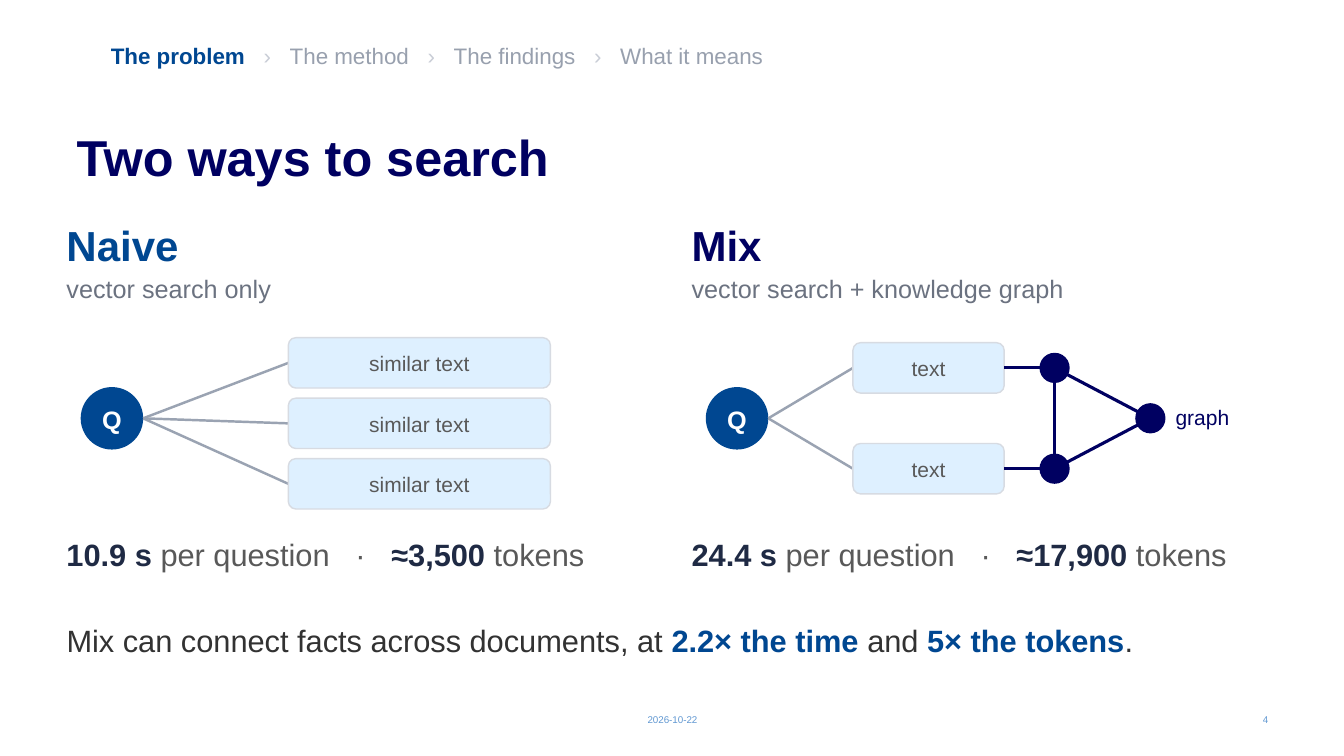
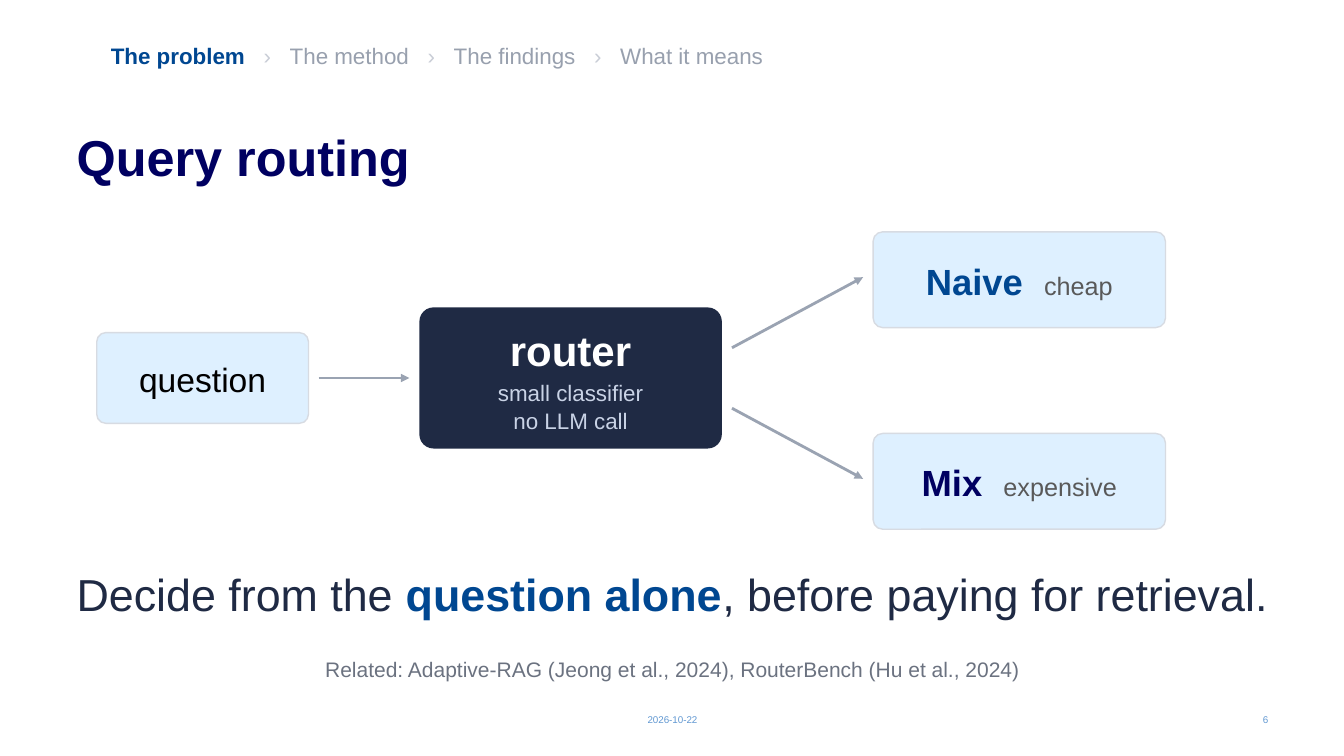
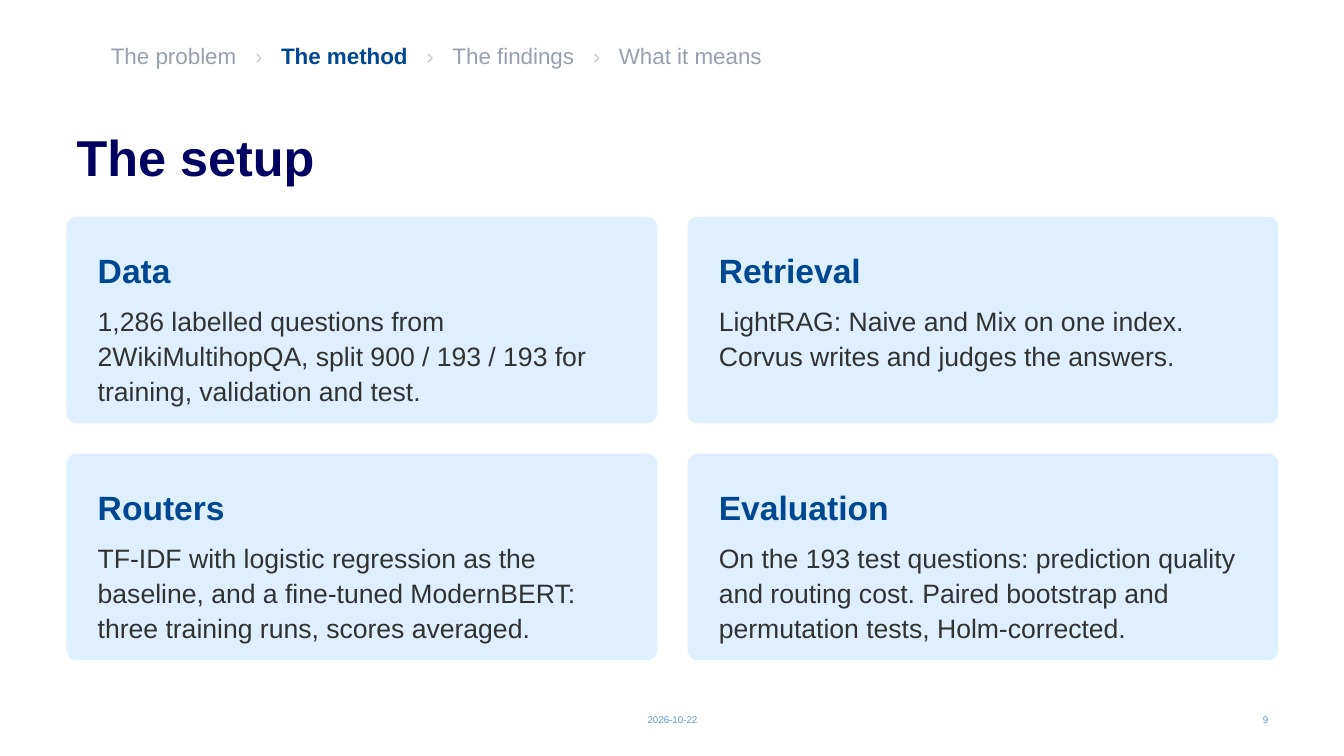
from dataclasses import dataclass

from lxml import etree
from pptx import Presentation
from pptx import util as u
from pptx.dml.color import RGBColor
from pptx.enum import shapes, text
from pptx.oxml import ns

MID, TOP = text.MSO_ANCHOR.MIDDLE, text.MSO_ANCHOR.TOP
LEFT, MID_X, RIGHT = text.PP_ALIGN.LEFT, text.PP_ALIGN.CENTER, text.PP_ALIGN.RIGHT
ROUND, OVAL = shapes.MSO_SHAPE.ROUNDED_RECTANGLE, shapes.MSO_SHAPE.OVAL
GAP = " "  # a run of its own, set three spaces wide


@dataclass(frozen=True)
class Theme:
    # colours
    navy: str = "000061"
    blue: str = "004791"
    dark: str = "1F2A44"
    body: str = "323232"
    grey: str = "595959"
    slate: str = "6B7280"
    wire: str = "9AA3B2"
    crumb: str = "98A0AE"
    mark: str = "C9CDD6"
    edge: str = "D7DBE2"
    pale: str = "DEF0FF"
    ice: str = "C9D3E6"
    foot: str = "6198D2"
    white: str = "FFFFFF"
    black: str = "000000"
    # type
    face: str = "Arial"
    title: int = 36
    claim: int = 32
    head: int = 30
    name: int = 26
    card: int = 24
    fact: int = 22
    copy: int = 19
    note: int = 18
    trail: int = 16
    label: int = 15
    tiny: int = 7


T = Theme()
STEPS = ("The problem", "The method", "The findings", "What it means")
EDGE, WIDE = 66, 1202  # left margin and content width


@dataclass
class Para:
    """A paragraph; runs are (text, colour, bold) with an optional size."""
    runs: object
    size: int
    color: str = T.body
    bold: bool = False
    align: object = LEFT
    lead: float = 1.05
    after: int = 0


def px(n):
    return u.Emu(n * 9144)


def rgb(code):
    return RGBColor.from_string(code)


# Text
def style(font, size, color, bold):
    font.size, font.bold = u.Pt(size), bold
    font.color.rgb = rgb(color)


def fill_text(frame, paras, inset=0, anchor=TOP):
    frame.word_wrap, frame.vertical_anchor = True, anchor
    frame.margin_left = frame.margin_right = px(inset)
    frame.margin_top = frame.margin_bottom = px(inset)
    for i, para in enumerate(paras):
        p = frame.add_paragraph() if i else frame.paragraphs[0]
        p.alignment, p.line_spacing = para.align, para.lead
        p.space_before, p.space_after = u.Pt(0), u.Pt(para.after)
        p.font.name = T.face
        style(p.font, para.size, para.color, para.bold)
        if isinstance(para.runs, str):
            p.add_run().text = para.runs
            continue
        for words, color, bold, *size in para.runs:
            run = p.add_run()
            run.text = words
            pts = size[0] if size else para.size
            style(run.font, pts, color, bold)
            if words == GAP:
                run._r.get_or_add_rPr().set("spc", str(round(55.6 * pts)))


def write(slide, x, y, w, h, *paras, anchor=TOP):
    box = slide.shapes.add_textbox(px(x), px(y), px(w), px(h))
    fill_text(box.text_frame, paras, anchor=anchor)


# Shapes and lines
def block(slide, kind, x, y, w, h, fill, *paras, edge=None, adj=None,
          inset=0, anchor=MID):
    box = slide.shapes.add_shape(kind, px(x), px(y), px(w), px(h))
    box.shadow.inherit = False
    box.fill.solid()
    box.fill.fore_color.rgb = rgb(fill)
    if edge:
        box.line.color.rgb, box.line.width = rgb(edge), u.Pt(1)
    else:
        box.line.fill.background()
    if adj:
        box.adjustments[0] = adj
    if paras:
        fill_text(box.text_frame, paras, inset, anchor)


def wire(slide, start, end, color=T.wire, width=1.75, arrow=False):
    line = slide.shapes.add_connector(
        shapes.MSO_CONNECTOR.STRAIGHT, *map(px, start + end))
    line.line.color.rgb, line.line.width = rgb(color), u.Pt(width)
    if arrow:
        tip = etree.SubElement(line.line._get_or_add_ln(), ns.qn("a:tailEnd"))
        tip.set("type", "triangle")
    etree.SubElement(line._element.spPr, ns.qn("a:effectLst"))


# Shared frame: title, trail of steps, footer
def page(deck, title, step, number):
    slide = deck.slides.add_slide(deck.slide_layouts[5])
    head = slide.shapes.title
    head.left, head.top, head.width, head.height = map(px, (EDGE, 120, WIDE, 62))
    frame = head.text_frame
    frame.auto_size = text.MSO_AUTO_SIZE.NONE
    fill_text(frame, [Para(title, T.title, T.navy, True, lead=0.9)], inset=10)
    frame.margin_top, frame.margin_bottom = px(12), px(5)

    runs = []
    for i, name in enumerate(STEPS):
        if i:
            runs += [(t, T.mark, False) for t in (GAP, "›", GAP)]
        on = name == step
        runs.append((name, T.blue if on else T.crumb, on))
    write(slide, 110, 40, 1100, 38, Para(runs, T.trail, T.crumb))

    for x, w, words, align in ((442, 450, "2026-10-22", MID_X),
                               (968, 290, str(number), RIGHT)):
        write(slide, x, 708, w, 11,
              Para(words, T.tiny, T.foot, align=align, lead=1.0), anchor=MID)
    return slide


# Slide parts
def way(slide, x, name, color, note, time, cost, hits):
    """One search column: heading, question fan, cost line."""
    write(slide, x, 215, 560, 50, Para(name, T.head, color, True))
    write(slide, x, 270, 560, 40, Para(note, T.note, T.slate))
    block(slide, OVAL, x + 14, 384, 62, 62, T.blue,
          Para("Q", T.note, T.white, True, MID_X))
    words, left, width, tops = hits
    for top in tops:
        wire(slide, (x + 76, 415), (x + left, top + 25))
        block(slide, ROUND, x + left, top, width, 50, T.pale,
              Para(words, T.label, T.grey, align=MID_X),
              edge=T.edge, adj=0.15, inset=2)
    write(slide, x, 530, 580, 50, Para([
        (time, T.dark, True), (" per question", T.grey, False),
        (GAP, T.grey, False), ("·", T.grey, False), (GAP, T.grey, False),
        (cost, T.dark, True), (" tokens", T.grey, False)], T.fact, T.grey))


def graph(slide):
    up, down, tip = (1046, 365), (1046, 465), (1141, 415)
    for start, end in ((up, tip), (tip, down), (up, down),
                       ((996, 365), up), ((996, 465), down)):
        wire(slide, start, end, T.navy, 2.25)
    for x, y in (up, tip, down):
        block(slide, OVAL, x - 15, y - 15, 30, 30, T.navy)
    write(slide, 1166, 400, 120, 35, Para("graph", T.label, T.navy))


def node(slide, x, y, w, h, *paras, fill=T.pale, edge=T.edge):
    block(slide, ROUND, x, y, w, h, fill, *paras, edge=edge, adj=0.1, inset=12)


# Slides
def search(deck):
    slide = page(deck, "Two ways to search", STEPS[0], 4)
    way(slide, EDGE, "Naive", T.blue, "vector search only", "10.9 s", "≈3,500",
        ("similar text", 220, 260, (335, 395, 455)))
    way(slide, EDGE + 620, "Mix", T.navy, "vector search + knowledge graph",
        "24.4 s", "≈17,900", ("text", 160, 150, (340, 440)))
    graph(slide)
    write(slide, EDGE, 615, WIDE, 50, Para([
        ("Mix can connect facts across documents, at ", T.body, False),
        ("2.2× the time", T.blue, True), (" and ", T.body, False),
        ("5× the tokens", T.blue, True), (".", T.body, False)], T.fact))


def routing(deck):
    slide = page(deck, "Query routing", STEPS[0], 6)
    node(slide, 96, 330, 210, 90,
         Para("question", T.card, T.black, align=MID_X))
    node(slide, 416, 305, 300, 140,
         Para("router", T.head, T.white, True, MID_X, after=2),
         *(Para(words, T.trail, T.ice, align=MID_X)
           for words in ("small classifier", "no LLM call")),
         fill=T.dark, edge=None)
    for start, end in (((316, 375), (406, 375)), ((726, 345), (856, 275)),
                       ((726, 405), (856, 475))):
        wire(slide, start, end, width=2, arrow=True)
    for y, name, color, price in ((230, "Naive", T.blue, "cheap"),
                                  (430, "Mix", T.navy, "expensive")):
        node(slide, 866, y, 290, 95, Para([
            (name, color, True), (GAP, T.grey, False, T.note),
            (price, T.grey, False, T.note)], T.name, color, align=MID_X))
    write(slide, EDGE, 560, WIDE, 70, Para([
        ("Decide from the ", T.dark, False), ("question alone", T.blue, True),
        (", before paying for retrieval.", T.dark, False)],
        T.claim, T.dark, align=MID_X))
    write(slide, EDGE, 650, WIDE, 35, Para(
        "Related: Adaptive-RAG (Jeong et al., 2024), "
        "RouterBench (Hu et al., 2024)", T.label, T.slate, align=MID_X))


def setup(deck):
    slide = page(deck, "The setup", STEPS[1], 9)
    cards = (
        ("Data", "1,286 labelled questions from 2WikiMultihopQA, split "
                 "900 / 193 / 193 for training, validation and test."),
        ("Retrieval", "LightRAG: Naive and Mix on one index. "
                      "Corvus writes and judges the answers."),
        ("Routers", "TF-IDF with logistic regression as the baseline, and a "
                    "fine-tuned ModernBERT: three training runs, scores averaged."),
        ("Evaluation", "On the 193 test questions: prediction quality and "
                       "routing cost. Paired bootstrap and permutation tests, "
                       "Holm-corrected."),
    )
    gap, high = 30, 205
    wide = (WIDE - gap) // 2
    for i, (name, words) in enumerate(cards):
        row, col = divmod(i, 2)
        block(slide, ROUND, EDGE + col * (wide + gap), 215 + row * (high + gap),
              wide, high, T.pale,
              Para(name, T.card, T.blue, True, after=8),
              Para(words, T.copy, lead=1.1),
              adj=0.05, inset=28, anchor=TOP)


def main():
    deck = Presentation()
    deck.slide_width, deck.slide_height = px(1333), px(750)
    for build in (search, routing, setup):
        build(deck)
    deck.save("out.pptx")


if __name__ == "__main__":
    main()
